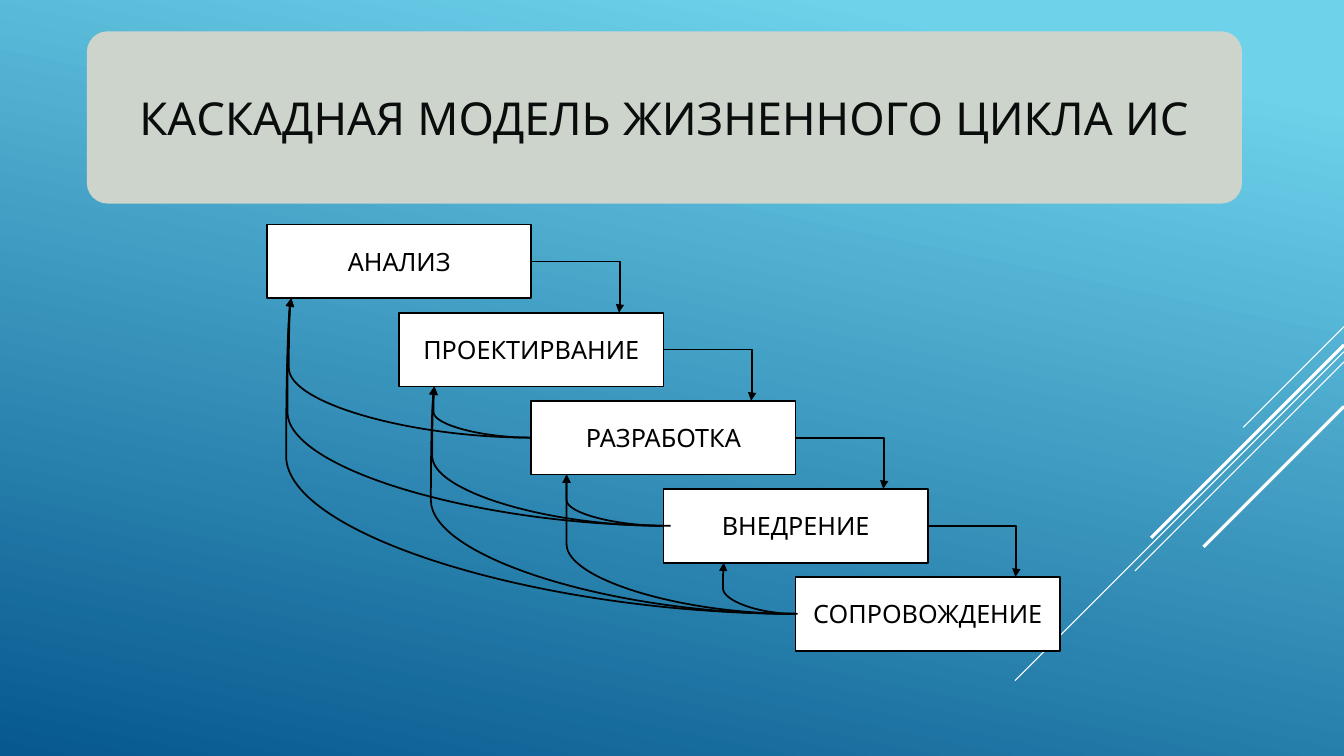
from lxml.etree import SubElement
from pptx import Presentation
from pptx.dml.color import RGBColor
from pptx.enum.shapes import MSO_CONNECTOR, MSO_SHAPE
from pptx.enum.text import MSO_ANCHOR, PP_ALIGN
from pptx.oxml.ns import qn
from pptx.util import Cm, Pt

COLORS = {
    "sky": "6ED2EB",
    "deep": "06588E",
    "panel": "CCD4CC",
    "title": "0B0C0C",
    "white": "FFFFFF",
    "black": "000000",
}
PAGE_WIDTH, PAGE_HEIGHT = 33.87, 19.05
STEP_LEFT, STEP_TOP = 6.73, 5.66
STEP_WIDTH, STEP_HEIGHT = 6.66, 1.86
SHIFT_X, SHIFT_Y = 3.33, 2.22
STEPS = ["АНАЛИЗ", "ПРОЕКТИРВАНИЕ", "РАЗРАБОТКА", "ВНЕДРЕНИЕ", "СОПРОВОЖДЕНИЕ"]
RAYS = [(8.23, 2.54, 0.75), (8.86, 8.29, 0.75), (9.12, 5.27, 0.75),
        (8.69, 4.86, 2.25), (10.24, 3.54, 2.25)]
RETURN_X = [7.34, 10.95, 14.28, 18.24]
RETURNS = [(4, 3, 0, 1.01), (4, 2, 0, 1), (4, 1, -0.05, 1.01),
           (4, 0, 0.05, 1.01), (3, 2, 0, 1), (3, 1, -0.05, 1.01),
           (3, 0, 0.18, 1.01), (2, 1, 0, 1.01), (2, 0, 0, 1.01)]


class CascadeSlide:
    """Draws the parts of the cascade diagram on one page in a shared style."""

    def __init__(self, page, font):
        self.page = page
        self.font = font

    def color(self, name):
        return RGBColor.from_string(COLORS[name])

    def background(self, top, bottom, angle):
        fill = self.page.background.fill
        fill.gradient()
        fill.gradient_angle = angle
        for stop, position, name in zip(fill.gradient_stops, (0.1, 1), (top, bottom)):
            stop.position = position
            stop.color.rgb = self.color(name)

    def box(self, kind, left, top, width, height, text, size, fill, ink, outline=None):
        box = self.page.shapes.add_shape(kind, Cm(left), Cm(top), Cm(width), Cm(height))
        box.shadow.inherit = False
        box.fill.solid()
        box.fill.fore_color.rgb = self.color(fill)
        if outline:
            box.line.color.rgb = self.color(outline)
            box.line.width = Pt(1.25)
        else:
            box.line.fill.background()
        frame = box.text_frame
        frame.text = text
        frame.vertical_anchor = MSO_ANCHOR.MIDDLE
        para = frame.paragraphs[0]
        para.alignment = PP_ALIGN.CENTER
        span = para.runs[0]
        span.font.name = self.font
        span.font.size = Pt(size)
        span.font.color.rgb = self.color(ink)
        return box

    def line(self, kind, start, end, color, width):
        line = self.page.shapes.add_connector(kind, *map(Cm, start + end))
        line.line.color.rgb = self.color(color)
        line.line.width = Pt(width)
        SubElement(line._element.spPr, qn("a:effectLst"))
        return line

    def arrow(self, kind, start, end, bend):
        arrow = self.line(kind, start, end, "black", 1.25)
        SubElement(arrow.line._get_or_add_ln(), qn("a:tailEnd"), type="triangle")
        adjustments = arrow._element.spPr.find(qn("a:prstGeom")).find(qn("a:avLst"))
        SubElement(adjustments, qn("a:gd"), name="adj1", fmla=f"val {round(bend * 100000)}")


def step_corner(index):
    return STEP_LEFT + index * SHIFT_X, STEP_TOP + index * SHIFT_Y


def main():
    deck = Presentation()
    deck.slide_width, deck.slide_height = Cm(PAGE_WIDTH), Cm(PAGE_HEIGHT)
    slide = CascadeSlide(deck.slides.add_slide(deck.slide_layouts[6]), "Quicksand")
    slide.background("sky", "deep", 258)

    for top, length, width in RAYS:
        slide.line(MSO_CONNECTOR.STRAIGHT, (PAGE_WIDTH, top),
                   (PAGE_WIDTH - length, top + length), "white", width)

    panel = slide.box(MSO_SHAPE.ROUNDED_RECTANGLE, 2.19, 0.79, 29.11, 4.34,
                      "КАСКАДНАЯ МОДЕЛЬ ЖИЗНЕННОГО ЦИКЛА ИС", 32.4, "panel", "title")
    panel.adjustments[0] = 0.12

    for index, name in enumerate(STEPS):
        slide.box(MSO_SHAPE.RECTANGLE, *step_corner(index), STEP_WIDTH, STEP_HEIGHT,
                  name, 18, "white", "black", "black")

    for index in range(len(STEPS) - 1):
        left, top = step_corner(index)
        right = left + STEP_WIDTH
        slide.arrow(MSO_CONNECTOR.ELBOW, (right, top + STEP_HEIGHT / 2),
                    (right + 2.21, top + SHIFT_Y), 1.01)

    for source, target, offset, bend in RETURNS:
        left, top = step_corner(source)
        bottom = step_corner(target)[1] + STEP_HEIGHT
        slide.arrow(MSO_CONNECTOR.CURVE, (left + offset, top + STEP_HEIGHT / 2),
                    (RETURN_X[target], bottom), bend)

    deck.save("out.pptx")


if __name__ == "__main__":
    main()
